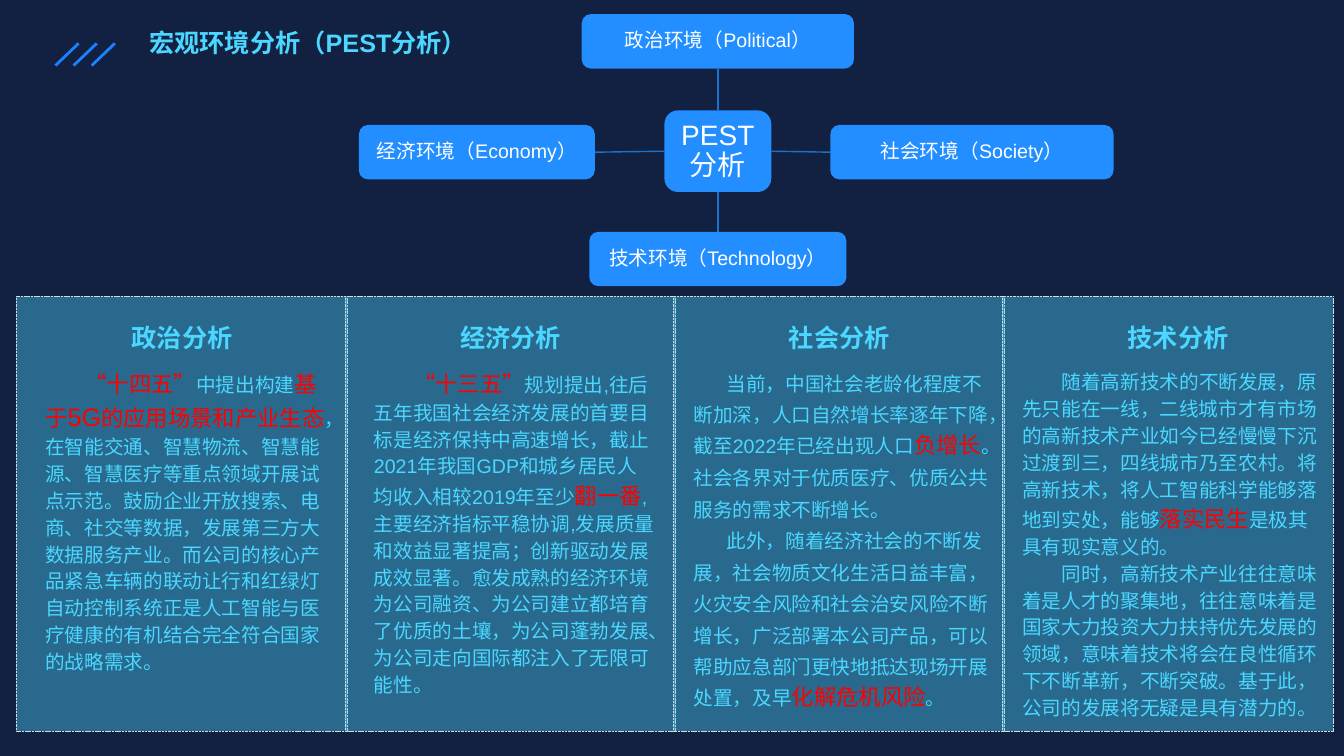
"""Build the PEST macro-environment analysis slide."""
from dataclasses import dataclass
from lxml.etree import SubElement
from pptx import Presentation
from pptx.dml.color import RGBColor
from pptx.enum.dml import MSO_LINE
from pptx.enum.lang import MSO_LANGUAGE_ID
from pptx.enum.shapes import MSO_CONNECTOR, MSO_SHAPE
from pptx.enum.text import MSO_ANCHOR, MSO_AUTO_SIZE, PP_ALIGN
from pptx.oxml.ns import qn
from pptx.util import Inches, Pt


@dataclass(frozen=True)
class Theme:
    font: str = "Arial"
    background: str = "122041"
    cyan: str = "4BD7FF"
    slash: str = "1B82FF"
    node: str = "228EFF"
    link: str = "1B72CC"
    border: str = "D9D9D9"
    red: str = "FF0000"
    white: str = "FFFFFF"
    heading_size: int = 18
    hub_size: int = 20
    body_size: int = 14


THEME = Theme()
STYLES = {
    "plain": (THEME.body_size, THEME.cyan, False),
    "key": (16, THEME.red, False),
    "large key": (18, THEME.red, False),
    "heading": (THEME.heading_size, THEME.cyan, True),
    "node": (THEME.body_size, THEME.white, False),
    "hub": (THEME.hub_size, THEME.white, False),
}

TITLE = "宏观环境分析（PEST分析）"
HUB = ("PEST分析", 7.12, 1.5, 1.06, 0.81)
TOP, LEFT, BOTTOM, RIGHT = range(4)
NODES = [
    ("政治环境（Political）", TOP, 7.12, 0.41, 2.7),
    ("社会环境（Society）", RIGHT, 9.64, 1.51, 2.81),
    ("技术环境（Technology）", BOTTOM, 7.12, 2.57, 2.55),
    ("经济环境（Economy）", LEFT, 4.73, 1.51, 2.34),
]
NODE_HEIGHT = 0.54

WIDE = {"box": (0.19, 3.59, 2.99, 3.42), "heading": 0.37, "indent": 0.39, "spacing": 1.14}
LOOSE = {"box": (0.1, 3.56, 3.16, 3.53), "heading": 0.37, "indent": 0.33, "spacing": Pt(22.5)}
EDGE = {"box": (0.1, 3.59, 3.18, 3.42), "heading": 0.47, "indent": 0.39, "spacing": 1.14}
PANELS = [
    ("政治分析", WIDE, [[
        ("key", "“十四五”"), ("plain", "中提出构建"), ("key", "基于"), ("large key", "5G"),
        ("key", "的应用场景和产业生态"),
        ("plain", "，在智能交通、智慧物流、智慧能源、智慧医疗等重点领域开展试点示范。"
                  "鼓励企业开放搜索、电商、社交等数据，发展第三方大数据服务产业。"
                  "而公司的核心产品紧急车辆的联动让行和红绿灯自动控制系统"
                  "正是人工智能与医疗健康的有机结合完全符合国家的战略需求。"),
    ]]),
    ("经济分析", WIDE, [[
        ("key", "“十三五”"),
        ("plain", "规划提出,往后五年我国社会经济发展的首要目标是经济保持中高速增长，"
                  "截止2021年我国GDP和城乡居民人均收入相较2019年至少"),
        ("key", "翻一番"),
        ("plain", ",主要经济指标平稳协调,发展质量和效益显著提高；创新驱动发展成效显著。"
                  "愈发成熟的经济环境为公司融资、为公司建立都培育了优质的土壤，"
                  "为公司蓬勃发展、为公司走向国际都注入了无限可能性。"),
    ]]),
    ("社会分析", LOOSE, [
        [("plain", "当前，中国社会老龄化程度不断加深，人口自然增长率逐年下降，"
                   "截至2022年已经出现人口"),
         ("key", "负增长"),
         ("plain", "。社会各界对于优质医疗、优质公共服务的需求不断增长。")],
        [("plain", "此外，随着经济社会的不断发展，社会物质文化生活日益丰富，"
                   "火灾安全风险和社会治安风险不断增长，广泛部署本公司产品，"
                   "可以帮助应急部门更快地抵达现场开展处置，及早"),
         ("key", "化解危机风险"), ("plain", "。")],
    ]),
    ("技术分析", EDGE, [
        [("plain", "随着高新技术的不断发展，原先只能在一线，二线城市才有市场的高新技术产业"
                   "如今已经慢慢下沉过渡到三，四线城市乃至农村。"
                   "将高新技术，将人工智能科学能够落地到实处，能够"),
         ("key", "落实民生"), ("plain", "是极其具有现实意义的。")],
        [("plain", "同时，高新技术产业往往意味着是人才的聚集地，"
                   "往往意味着是国家大力投资大力扶持优先发展的领域，"
                   "意味着技术将会在良性循环下不断革新，不断突破。"
                   "基于此，公司的发展将无疑是具有潜力的。")],
    ]),
]
PANEL_LEFT, PANEL_TOP, PANEL_PITCH = 0.16, 2.94, 3.26
PANEL_WIDTH, PANEL_HEIGHT = 3.28, 4.31
HEADING_TOP, HEADING_WIDTH, HEADING_HEIGHT = 3.09, 2.55, 0.55
SLASH_LEFT, SLASH_PITCH, SLASH_TOP, SLASH_WIDTH, SLASH_HEIGHT = 0.55, 0.18, 0.43, 0.23, 0.22


def color(value):
    return RGBColor.from_string(value)


def write(frame, paragraphs, align=PP_ALIGN.LEFT, spacing=1.0, indent=0):
    frame.word_wrap = True
    frame.auto_size = MSO_AUTO_SIZE.NONE
    for number, runs in enumerate(paragraphs):
        paragraph = frame.add_paragraph() if number else frame.paragraphs[0]
        paragraph.alignment = align
        paragraph.line_spacing = spacing
        if indent:
            paragraph._p.get_or_add_pPr().set("indent", str(Inches(indent)))
        for style, text in runs:
            run = paragraph.add_run()
            run.text = text
            font = run.font
            size, shade, font.bold = STYLES[style]
            font.size = Pt(size)
            font.name = THEME.font
            font.language_id = MSO_LANGUAGE_ID.SIMPLIFIED_CHINESE
            font.color.rgb = color(shade)


def add_text(slide, box, paragraphs, **layout):
    shape = slide.shapes.add_textbox(*map(Inches, box))
    write(shape.text_frame, paragraphs, **layout)


def add_box(slide, kind, box, fill):
    shape = slide.shapes.add_shape(kind, *map(Inches, box))
    shape.shadow.inherit = False
    shape.fill.solid()
    shape.fill.fore_color.rgb = color(fill)
    return shape


def add_line(slide, points, shade, width):
    line = slide.shapes.add_connector(MSO_CONNECTOR.STRAIGHT, *map(Inches, points))
    line.line.color.rgb = color(shade)
    line.line.width = Pt(width)
    SubElement(line._element.spPr, qn("a:effectLst"))
    return line


def add_node(slide, text, center_x, center_y, width, height, style="node"):
    box = (center_x - width / 2, center_y - height / 2, width, height)
    shape = add_box(slide, MSO_SHAPE.ROUNDED_RECTANGLE, box, THEME.node)
    shape.line.fill.background()
    frame = shape.text_frame
    frame.margin_left = frame.margin_right = Inches(0.08)
    frame.margin_top = frame.margin_bottom = Inches(0.06)
    frame.vertical_anchor = MSO_ANCHOR.MIDDLE
    write(frame, [[(style, text)]], align=PP_ALIGN.CENTER, spacing=0.9)
    return shape


def add_title(slide):
    title = slide.shapes.title
    title.left, title.top, title.width, title.height = map(Inches, (1.38, 0.22, 3.73, 0.4))
    title.text_frame.vertical_anchor = MSO_ANCHOR.MIDDLE
    write(title.text_frame, [[("heading", TITLE)]])
    for index in range(3):
        left = SLASH_LEFT + index * SLASH_PITCH
        points = (left, SLASH_TOP + SLASH_HEIGHT, left + SLASH_WIDTH, SLASH_TOP)
        add_line(slide, points, THEME.slash, 2)


def add_panels(slide):
    for index, (heading, layout, paragraphs) in enumerate(PANELS):
        left = PANEL_LEFT + index * PANEL_PITCH
        box = (left, PANEL_TOP, PANEL_WIDTH, PANEL_HEIGHT)
        panel = add_box(slide, MSO_SHAPE.RECTANGLE, box, THEME.cyan)
        shade = panel._element.spPr.find(qn("a:solidFill"))[0]
        SubElement(shade, qn("a:alpha")).set("val", "40000")
        panel.line.color.rgb = color(THEME.border)
        panel.line.width = Pt(0.25)
        panel.line.dash_style = MSO_LINE.SQUARE_DOT
        heading_box = (left + layout["heading"], HEADING_TOP, HEADING_WIDTH, HEADING_HEIGHT)
        add_text(slide, heading_box, [[("heading", heading)]], align=PP_ALIGN.CENTER, spacing=1.2)
        offset, *rest = layout["box"]
        add_text(slide, (left + offset, *rest), paragraphs,
                 spacing=layout["spacing"], indent=layout["indent"])


def add_diagram(slide):
    hub = add_node(slide, *HUB, style="hub")
    for text, side, center_x, center_y, width in NODES:
        node = add_node(slide, text, center_x, center_y, width, NODE_HEIGHT)
        link = add_line(slide, (0, 0, 1, 1), THEME.link, 1)
        link.begin_connect(hub, side)
        link.end_connect(node, (side + 2) % 4)


def main():
    presentation = Presentation()
    presentation.slide_width, presentation.slide_height = Inches(13.33), Inches(7.5)
    slide = presentation.slides.add_slide(presentation.slide_layouts.get_by_name("Title Only"))
    slide.background.fill.solid()
    slide.background.fill.fore_color.rgb = color(THEME.background)
    add_title(slide)
    add_panels(slide)
    add_diagram(slide)
    presentation.save("out.pptx")


if __name__ == "__main__":
    main()
